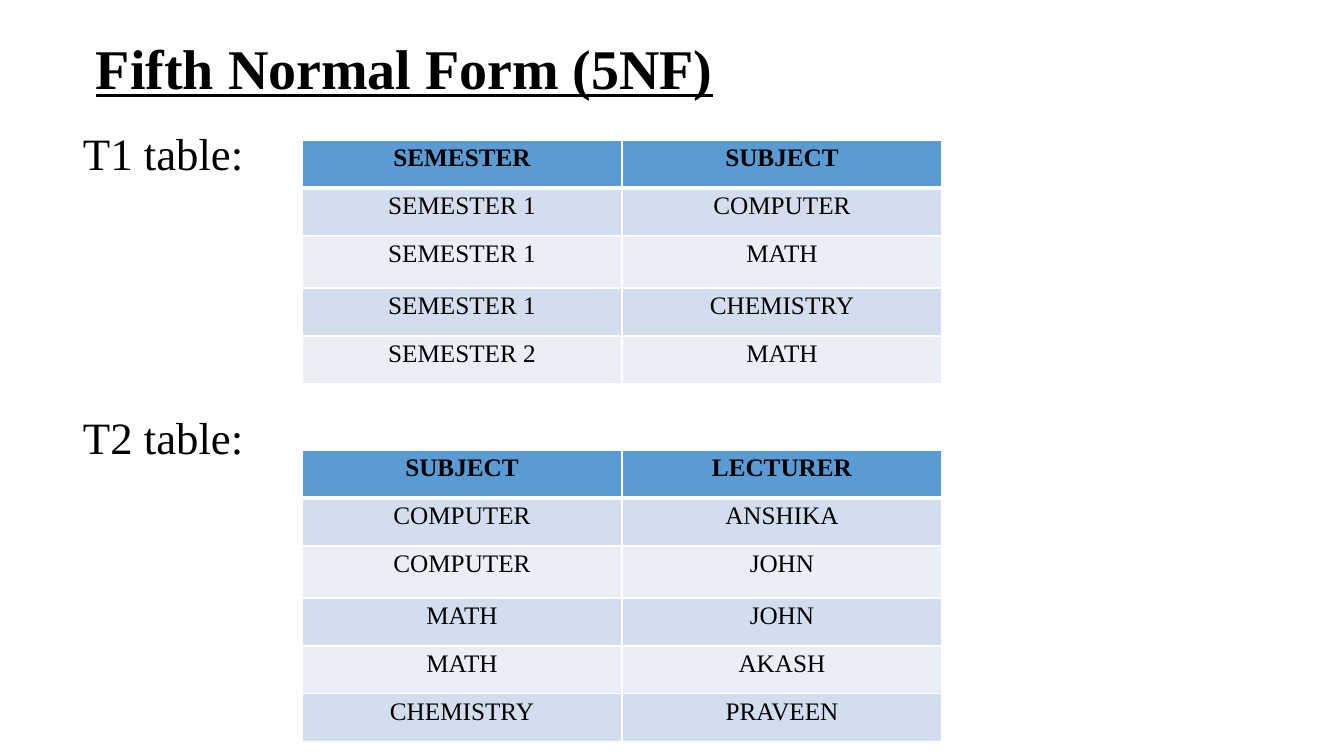
from lxml import etree
from pptx import Presentation
from pptx import util as u
from pptx.dml.color import RGBColor
from pptx.enum import text
from pptx.oxml.ns import qn

TITLE = "Fifth Normal Form (5NF)"
TABLES = [
    ("T1 table:", 122, 140, [
        ("SEMESTER", "SUBJECT"),
        ("SEMESTER 1", "COMPUTER"),
        ("SEMESTER 1", "MATH"),
        ("SEMESTER 1", "CHEMISTRY"),
        ("SEMESTER 2", "MATH"),
    ]),
    ("T2 table:", 406, 450, [
        ("SUBJECT", "LECTURER"),
        ("COMPUTER", "ANSHIKA"),
        ("COMPUTER", "JOHN"),
        ("MATH", "JOHN"),
        ("MATH", "AKASH"),
        ("CHEMISTRY", "PRAVEEN"),
    ]),
]
COLORS = {"ink": "000000", "line": "FFFFFF", "head": "5B9BD4",
          "odd": "D2DEEE", "even": "EAEEF7"}
FONTS = {
    "title": {"name": "Times New Roman", "size": u.Pt(40), "bold": True, "underline": True},
    "label": {"name": "Times New Roman", "size": u.Pt(32), "bold": False},
    "head": {"name": "Times New Roman", "size": u.Pt(18), "bold": True},
    "body": {"name": "Times New Roman", "size": u.Pt(18), "bold": False},
}
LEFT, COL, ROW, TALL = 302, 320, 48, 52


def px(n):
    return round(n * 914400 / 100.8)


def rgb(key):
    return RGBColor.from_string(COLORS[key])


def write(frame, words, style, align, top):
    frame.text = words
    para = frame.paragraphs[0]
    para.alignment = align
    para.line_spacing = 1.0
    para.space_before = u.Pt(0)
    for key, val in FONTS[style].items():
        setattr(para.font, key, val)
    para.font.color.rgb = rgb("ink")
    return {"margin_left": 0, "margin_right": 0, "margin_top": px(top), "margin_bottom": 0,
            "vertical_anchor": text.MSO_ANCHOR.TOP}


def fit(item, form):
    for key, val in form.items():
        setattr(item, key, val)


def place(shape, *box):
    fit(shape, dict(zip(("left", "top", "width", "height"), map(px, box))))


def edge(cell, side, width):
    line = etree.Element(qn("a:" + side), w=str(u.Pt(width)))
    fill = etree.SubElement(line, qn("a:solidFill"))
    etree.SubElement(fill, qn("a:srgbClr"), val=COLORS["line"])
    return line


def add_grid(slide, top, data):
    tall = [TALL if r == 2 else ROW for r in range(len(data))]
    box = map(px, (LEFT, top, COL * 2, sum(tall)))
    grid = slide.shapes.add_table(len(data), 2, *box).table
    for col in grid.columns:
        col.width = px(COL)
    for r, words in enumerate(data):
        grid.rows[r].height = px(tall[r])
        for c, word in enumerate(words):
            cell = grid.cell(r, c)
            style = "body" if r else "head"
            fit(cell, write(cell.text_frame, word, style, text.PP_ALIGN.CENTER, 4))
            cell.fill.solid()
            cell.fill.fore_color.rgb = rgb(("even", "odd")[r % 2] if r else "head")
            wide = {"lnL": 1, "lnR": 1, "lnT": 3 if r == 1 else 1, "lnB": 1 if r else 3}
            props = cell._tc.get_or_add_tcPr()
            for i, (side, width) in enumerate(wide.items()):
                props.insert(i, edge(cell, side, width))


def main():
    deck = Presentation()
    deck.slide_width, deck.slide_height = px(1344), px(756)
    slide = deck.slides.add_slide(deck.slide_layouts[5])
    title = slide.shapes.title
    place(title, 96, 3, 1152, 118)
    fit(title.text_frame, write(title.text_frame, TITLE, "title", text.PP_ALIGN.LEFT, 30))
    for name, high, top, data in TABLES:
        label = slide.shapes.add_textbox(*map(px, (83, high, 163, 56)))
        label.text_frame.word_wrap = True
        fit(label.text_frame, write(label.text_frame, name, "label", text.PP_ALIGN.LEFT, 4))
        add_grid(slide, top, data)
    deck.save("out.pptx")


if __name__ == "__main__":
    main()
